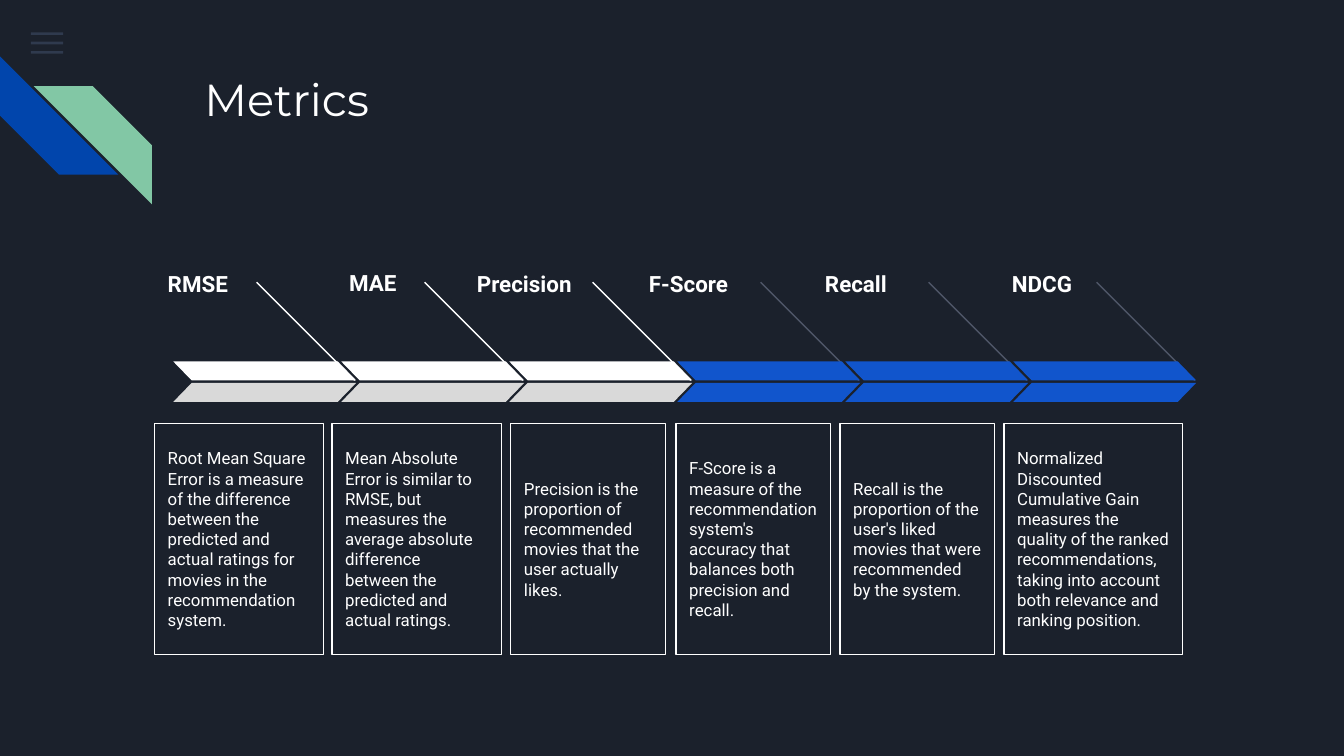
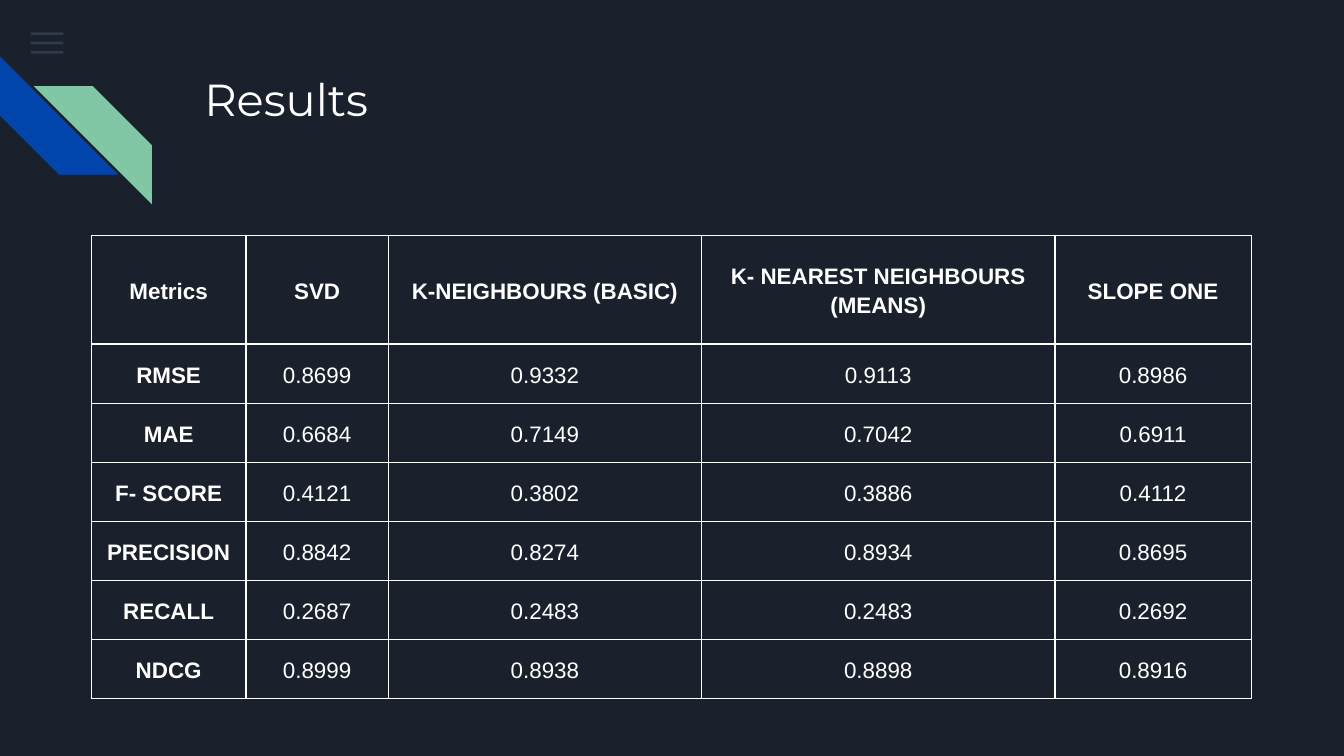
from lxml.etree import SubElement
from pptx import Presentation
from pptx.dml.color import RGBColor
from pptx.enum.shapes import MSO_CONNECTOR, MSO_SHAPE
from pptx.enum.text import MSO_ANCHOR, MSO_AUTO_SIZE, PP_ALIGN
from pptx.oxml.ns import qn
from pptx.util import Inches, Pt

COLORS = {
    "background": "1B212C", "white": "FFFFFF", "menu": "55688B",
    "stripe_blue": "0145AC", "stripe_green": "82C7A5",
    "gray": "D9D9D9", "blue": "1155CC", "muted": "4E5567",
}


def rgb(name):
    return RGBColor.from_string(COLORS[name])


def add_block(s, kind, box, fill=None, flip=False):
    sp = s.shapes.add_shape(kind, *[Inches(v) for v in box])
    sp.shadow.inherit = False
    sp.line.fill.background()
    if fill:
        sp.fill.solid()
        sp.fill.fore_color.rgb = rgb(fill)
    else:
        sp.fill.background()
    if flip:
        sp.element.spPr.get_or_add_xfrm().set("flipH", "1")
    return sp


prs = Presentation()
prs.slide_width, prs.slide_height = Inches(10), Inches(5.625)
layout = prs.slide_layouts[5]
layout.background.fill.solid()
layout.background.fill.fore_color.rgb = rgb("background")

# Slides and their titles
slides = []
for title in ("Metrics", "Results"):
    s = prs.slides.add_slide(layout)
    sp = s.shapes.title
    sp.left, sp.top, sp.width, sp.height = [Inches(v) for v in (1.42, 0.43, 7.7, 1)]
    tf = sp.text_frame
    tf.text = title
    tf.auto_size = MSO_AUTO_SIZE.NONE
    tf.vertical_anchor = MSO_ANCHOR.TOP
    tf.margin_left = tf.margin_right = tf.margin_top = tf.margin_bottom = Inches(0.1)
    p = tf.paragraphs[0]
    p.alignment = PP_ALIGN.LEFT
    p.font.name, p.font.size = "Montserrat", Pt(24)
    p.font.color.rgb = rgb("white")
    slides.append(s)
metrics_slide, results_slide = slides

# Shared decoration, moved into the layout: menu bars and two stripes
decoration = []
for i in range(3):
    bar = add_block(metrics_slide, MSO_SHAPE.RECTANGLE, (0.23, 0.24 + i * 0.07, 0.24, 0.02), "menu")
    color = next(bar.element.spPr.iter(qn("a:srgbClr")))
    SubElement(color, qn("a:alpha")).set("val", "36000")
    decoration.append(bar)
stripe = add_block(metrics_slide, MSO_SHAPE.DIAGONAL_STRIPE, (0, 0.42, 0.88, 0.88), "stripe_blue")
stripe.rotation = 270
decoration.append(stripe)
decoration.append(add_block(metrics_slide, MSO_SHAPE.DIAGONAL_STRIPE,
                            (0.25, 0.64, 0.88, 0.88), "stripe_green", flip=True))
for sp in decoration:
    layout.shapes.element.append(sp.element)

# Metrics: label, label left, label width, card left, card width, description
metrics = [
    ("RMSE", 1.15, 0.73, 1.15, 1.26,
     "Root Mean Square Error is a measure of the difference between the predicted "
     "and actual ratings for movies in the recommendation system."),
    ("MAE", 2.5, 0.73, 2.47, 1.26,
     "Mean Absolute Error is similar to RMSE, but measures the average absolute "
     "difference between the predicted and actual ratings."),
    ("Precision", 3.45, 1.03, 3.8, 1.15,
     "Precision is the proportion of recommended movies that the user actually likes."),
    ("F-Score", 4.73, 1.09, 5.03, 1.15,
     "F-Score is a measure of the recommendation system's accuracy that balances "
     "both precision and recall."),
    ("Recall", 6.04, 1.03, 6.25, 1.15,
     "Recall is the proportion of the user's liked movies that were recommended "
     "by the system."),
    ("NDCG", 7.43, 0.89, 7.47, 1.33,
     "Normalized Discounted Cumulative Gain measures the quality of the ranked "
     "recommendations, taking into account both relevance and ranking position."),
]
s = metrics_slide
for i, (label, label_x, label_w, card_x, card_w, description) in enumerate(metrics):
    # Label and description card
    label_y = 1.9 if label == "MAE" else 1.91
    heading = s.shapes.add_textbox(Inches(label_x), Inches(label_y), Inches(label_w), Inches(0.23))
    card = add_block(s, MSO_SHAPE.RECTANGLE, (card_x, 3.15, card_w, 1.72))
    card.line.color.rgb = rgb("white")
    card.line.width = Pt(0.75)
    for sp, text, size, anchor in ((heading, label, 12, MSO_ANCHOR.TOP),
                                   (card, description, 9, MSO_ANCHOR.MIDDLE)):
        tf = sp.text_frame
        tf.text = text
        tf.word_wrap = True
        tf.vertical_anchor = anchor
        tf.margin_left = tf.margin_right = tf.margin_top = tf.margin_bottom = Inches(0.1)
        p = tf.paragraphs[0]
        p.alignment = PP_ALIGN.LEFT
        p.font.name, p.font.size = "Roboto", Pt(size)
        p.font.bold = sp is heading
        p.font.color.rgb = rgb("white")
    card.text_frame.paragraphs[0].space_after = Pt(16)

for i in range(len(metrics)):
    # Pointer line and the two halves of the arrow segment
    x = 1.29 + i * 1.25
    upper, lower, pointer = ("white", "gray", "white") if i < 3 else ("blue", "blue", "muted")
    line = s.shapes.add_connector(MSO_CONNECTOR.STRAIGHT, Inches(x + 0.62), Inches(2.1),
                                  Inches(x + 1.35), Inches(2.83))
    line.line.color.rgb = rgb(pointer)
    line.line.width = Pt(0.75)
    SubElement(line.element.spPr, qn("a:effectLst"))
    for y, fill, flip in ((2.69, upper, True), (2.85, lower, False)):
        half = add_block(s, MSO_SHAPE.PARALLELOGRAM, (x, y, 1.36, 0.14), fill, flip)
        half.adjustments[0] = 0.97

# Results table
rows = [
    ("Metrics", "SVD", "K-NEIGHBOURS (BASIC)", "K- NEAREST NEIGHBOURS\n(MEANS)", "SLOPE ONE"),
    ("RMSE", "0.8699", "0.9332", "0.9113", "0.8986"),
    ("MAE", "0.6684", "0.7149", "0.7042", "0.6911"),
    ("F- SCORE", "0.4121", "0.3802", "0.3886", "0.4112"),
    ("PRECISION", "0.8842", "0.8274", "0.8934", "0.8695"),
    ("RECALL", "0.2687", "0.2483", "0.2483", "0.2692"),
    ("NDCG", "0.8999", "0.8938", "0.8898", "0.8916"),
]
col_widths = (1.15, 1.06, 2.33, 2.63, 1.46)
row_heights = [0.81] + [0.44] * 6
table = results_slide.shapes.add_table(
    len(rows), len(col_widths), Inches(0.68), Inches(1.75),
    Inches(sum(col_widths)), Inches(sum(row_heights))).table
for col, width in zip(table.columns, col_widths):
    col.width = Inches(width)
for row, height in zip(table.rows, row_heights):
    row.height = Inches(height)

for i, values in enumerate(rows):
    for j, value in enumerate(values):
        cell = table.cell(i, j)
        cell.text = value
        cell.vertical_anchor = MSO_ANCHOR.MIDDLE
        cell.margin_left = cell.margin_right = Inches(0.03)
        cell.margin_top = cell.margin_bottom = Inches(0.02)
        tc_pr = cell._tc.get_or_add_tcPr()
        for side in ("lnL", "lnR", "lnT", "lnB"):
            border = SubElement(tc_pr, qn(f"a:{side}"), w=str(Pt(0.75)))
            fill = SubElement(border, qn("a:solidFill"))
            SubElement(fill, qn("a:srgbClr"), val=COLORS["white"])
        cell.fill.background()
        for p in cell.text_frame.paragraphs:
            p.alignment = PP_ALIGN.CENTER
            p.line_spacing = 1.15
            p.font.name, p.font.size = "Arial", Pt(12)
            p.font.bold = i == 0 or j == 0
            p.font.color.rgb = rgb("white")

prs.save("out.pptx")
